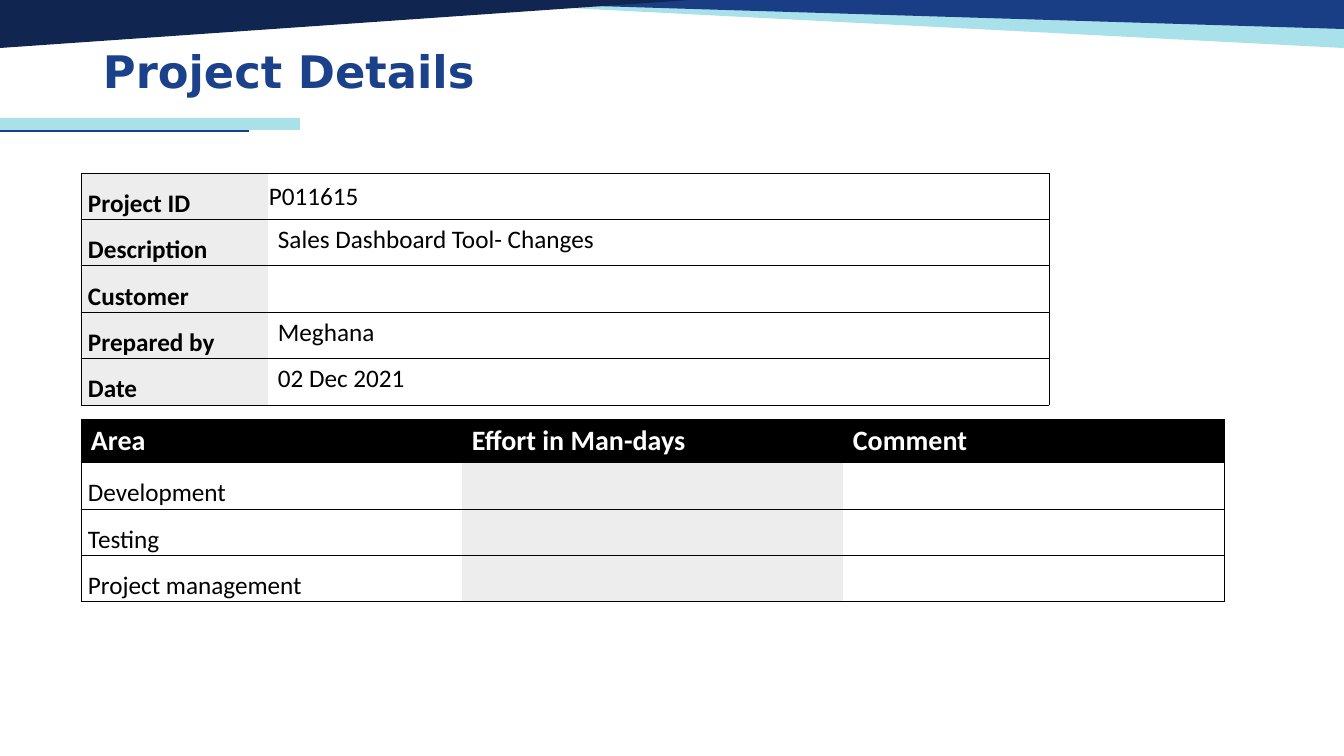
from lxml.etree import Element, SubElement
from pptx import Presentation
from pptx.dml.color import RGBColor
from pptx.enum.shapes import MSO_SHAPE
from pptx.enum.text import MSO_ANCHOR
from pptx.oxml.ns import qn
from pptx.util import Emu, Pt


def px(n):
    """Turn pixels into EMU."""
    return Emu(round(n * 914400 / 100.8))


def tint(code):
    """Turn a hex string into a colour."""
    return RGBColor.from_string(code)


def put(frame, text, size=18, color="000000", bold=False, font="Calibri",
        line=None, after=None, anchor=MSO_ANCHOR.TOP, pad=(10, 5, 10, 5)):
    """Write formatted text into a frame or a cell."""
    frame.vertical_anchor = anchor
    (frame.margin_left, frame.margin_top,
     frame.margin_right, frame.margin_bottom) = map(px, pad)
    body = getattr(frame, "text_frame", frame)
    body.word_wrap = True
    para = body.paragraphs[0]
    if line:
        para.line_spacing = line
    if after:
        para.space_after = Pt(after)
    run = para.add_run()
    run.text = text
    run.font.size = Pt(size)
    run.font.bold = bold
    run.font.name = font
    run.font.color.rgb = tint(color)


class Deck:
    """Hold the style and the current slide."""
    navy, blue, aqua = "102550", "1A3E85", "A8E1EA"
    gray, black, white = "EDEDED", "000000", "FFFFFF"
    label = dict(line=1.5, after=8, pad=(7, 0, 7, 1))

    def __init__(self):
        """Start a deck with one blank slide."""
        self.deck = Presentation()
        self.deck.slide_width, self.deck.slide_height = px(1344), px(756)
        self.slide = self.deck.slides.add_slide(self.deck.slide_layouts[6])

    def shape(self, kind, x, y, w, h, color, turn=0):
        """Add a plain shape that covers the given box once turned."""
        if turn == 90:
            x, y, w, h = x + (w - h) / 2, y + (h - w) / 2, h, w
        item = self.slide.shapes.add_shape(kind, px(x), px(y), px(w), px(h))
        item.rotation = turn
        item.shadow.inherit = False
        item.fill.solid()
        item.fill.fore_color.rgb = tint(color)
        item.line.fill.background()

    def title(self, text, x, y, w, h):
        """Add the slide title."""
        box = self.slide.shapes.add_textbox(px(x), px(y), px(w), px(h))
        put(box.text_frame, text, size=32, color="1B418A", bold=True,
            font="DejaVu Sans", line=0.9, anchor=MSO_ANCHOR.MIDDLE)

    def edge(self, cell, first, last):
        """Draw cell rules, with side rules only at the outer edges."""
        props = cell._tc.get_or_add_tcPr()
        shown = dict(lnL=first, lnR=last, lnT=True, lnB=True)
        for spot, (name, show) in enumerate(shown.items()):
            rule = Element(qn("a:" + name), w=str(Pt(0.5)))
            if show:
                fill = SubElement(rule, qn("a:solidFill"))
                SubElement(fill, qn("a:srgbClr"), val=self.black)
            else:
                SubElement(rule, qn("a:noFill"))
            props.insert(spot, rule)

    def table(self, x, y, cols, high, rows):
        """Add a table from rows of (text, fill, format) cells."""
        grid = self.slide.shapes.add_table(
            len(rows), len(cols), px(x), px(y),
            px(sum(cols)), px(high * len(rows))).table
        grid.first_row = grid.horz_banding = False
        for col, wide in zip(grid.columns, cols):
            col.width = px(wide)
        for r, row in enumerate(rows):
            grid.rows[r].height = px(high)
            for c, (text, fill, look) in enumerate(row):
                cell = grid.cell(r, c)
                cell.fill.solid()
                cell.fill.fore_color.rgb = tint(fill)
                self.edge(cell, c == 0, c == len(cols) - 1)
                if text:
                    put(cell, text, **look)


def main():
    """Build the project details slide."""
    d = Deck()
    tri, bar = MSO_SHAPE.RIGHT_TRIANGLE, MSO_SHAPE.RECTANGLE
    d.shape(tri, 415, 0, 929, 48, d.aqua, 180)
    d.shape(tri, 401, 0, 943, 29, d.blue, 180)
    d.shape(tri, 0, 0, 690, 48, d.navy, 90)
    d.shape(bar, 0, 127, 249, 5, d.blue)
    d.shape(bar, 0, 118, 300, 12, d.aqua)
    d.title("Project Details", 93, 14, 1159, 119)

    head = dict(size=20, color=d.white, bold=True)
    areas = ["Development", "Testing", "Project management"]
    efforts = [[(t, d.black, head)
                for t in ("Area", "Effort in Man-days", "Comment")]]
    efforts += [[(t, d.white, d.label), ("", d.gray, {}), ("", d.white, {})]
                for t in areas]
    d.table(81, 419, [381] * 3, 41, efforts)

    tight = dict(anchor=MSO_ANCHOR.MIDDLE, pad=(1, 1, 1, 0))
    facts = [("Project ID", "P011615", tight),
             ("Description", "Sales Dashboard Tool- Changes", {}),
             ("Customer", "", {}),
             ("Prepared by", "Meghana", {}),
             ("Date", "02 Dec 2021", {})]
    name = dict(d.label, bold=True)
    d.table(81, 173, [187, 781], 41,
            [[(key, d.gray, name), (text, d.white, look)]
             for key, text, look in facts])
    d.deck.save("out.pptx")


if __name__ == "__main__":
    main()
